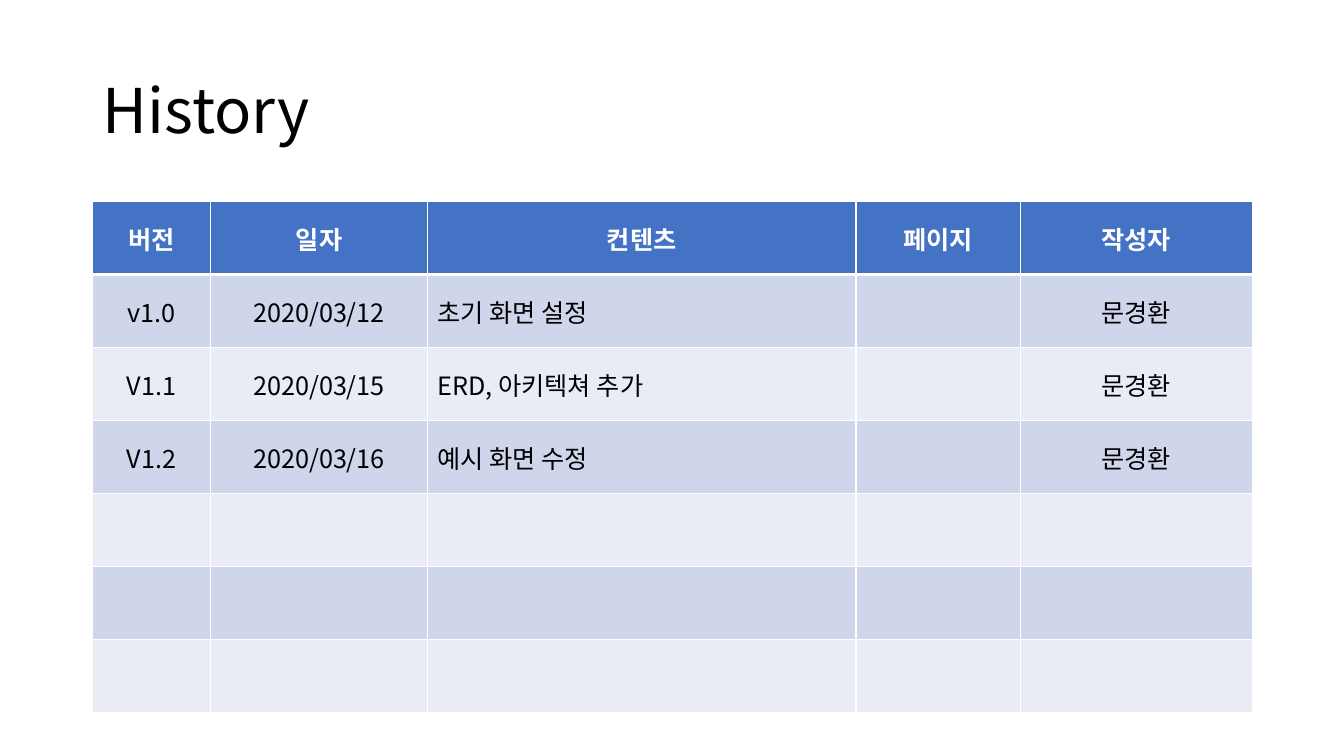
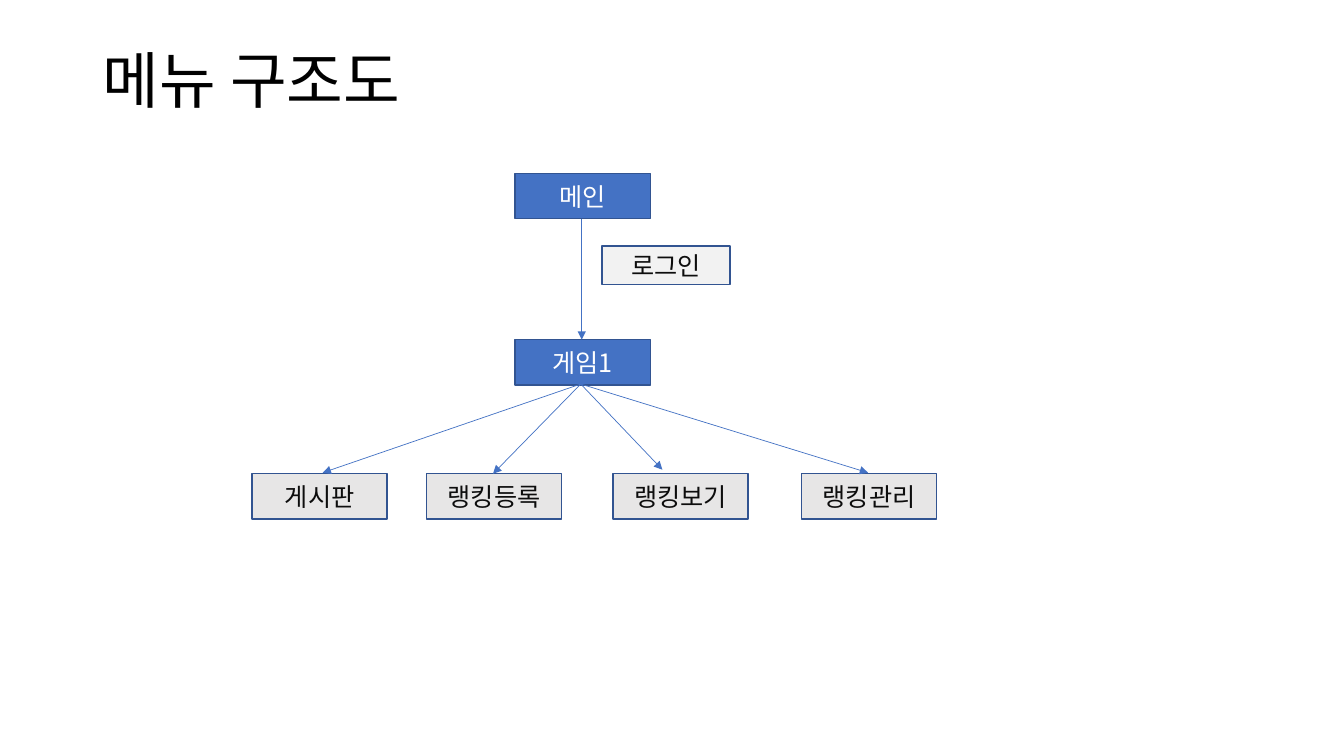
from pptx import Presentation
from pptx.dml.color import RGBColor
from pptx.enum.shapes import MSO_CONNECTOR, MSO_SHAPE
from pptx.enum.text import MSO_ANCHOR, PP_ALIGN
from pptx.oxml.ns import qn
from pptx.util import Inches, Pt
from lxml import etree

LEFT, CENTER = PP_ALIGN.LEFT, PP_ALIGN.CENTER
MIDDLE = MSO_ANCHOR.MIDDLE
RECTANGLE, STRAIGHT = MSO_SHAPE.RECTANGLE, MSO_CONNECTOR.STRAIGHT
TITLE_ONLY = 5
FONT = "Noto Sans CJK KR"
COLORS = {
    "blue": "4472C4", "outline": "325491", "white": "FFFFFF", "black": "000000",
    "band_dark": "CFD5EA", "band_light": "E9EBF5",
    "leaf": "E7E6E6", "note": "F2F2F2", "ink": "0D0D0D",
}


def rgb(name):
    return RGBColor.from_string(COLORS[name])


def style_paragraph(para, size, color, align=CENTER, bold=False):
    para.alignment = align
    font = para.font
    font.name, font.size, font.bold = FONT, Pt(size), bold
    font.color.rgb = rgb(color)
    # Korean glyphs take the East Asian typeface
    latin = font._element.find(qn("a:latin"))
    east_asian = etree.Element(qn("a:ea"), typeface=FONT)
    latin.addnext(east_asian)


def add_titled_page(deck, text, height):
    page = deck.slides.add_slide(deck.slide_layouts[TITLE_ONLY])
    title = page.shapes.title
    title.left, title.top = Inches(0.92), Inches(0.4)
    title.width, title.height = Inches(11.5), Inches(height)
    title.text_frame.text = text
    title.text_frame.vertical_anchor = MIDDLE
    para = title.text_frame.paragraphs[0]
    para.line_spacing = 0.9
    style_paragraph(para, 44, "black", LEFT)
    return page


# History table
def set_borders(cell, top, bottom):
    properties = cell._tc.get_or_add_tcPr()
    widths = {"lnL": 1, "lnR": 1, "lnT": top, "lnB": bottom}
    for index, (side, width) in enumerate(widths.items()):
        line = etree.Element(qn("a:" + side), w=str(Pt(width)))
        fill = etree.SubElement(line, qn("a:solidFill"))
        etree.SubElement(fill, qn("a:srgbClr"), val=COLORS["white"])
        properties.insert(index, line)


def add_history_table(page, left, top, height, widths, rows):
    frame = page.shapes.add_table(
        len(rows), len(widths), Inches(left), Inches(top),
        Inches(sum(widths)), Inches(height))
    table = frame.table
    for column, width in zip(table.columns, widths):
        column.width = Inches(width)
    for r, texts in enumerate(rows):
        header = r == 0
        band = "blue" if header else ("band_dark" if r % 2 else "band_light")
        for c, text in enumerate(texts):
            cell = table.cell(r, c)
            cell.text = text
            cell.vertical_anchor = MIDDLE
            cell.fill.solid()
            cell.fill.fore_color.rgb = rgb(band)
            set_borders(cell, 3 if r == 1 else 1, 3 if header else 1)
            align = LEFT if c == 2 and not header else CENTER
            style_paragraph(cell.text_frame.paragraphs[0], 18,
                            "white" if header else "black", align, header)


# Menu tree
def add_box(page, text, left, top, fill, color, width=1.34, height=0.45):
    box = page.shapes.add_shape(RECTANGLE, Inches(left), Inches(top),
                                Inches(width), Inches(height))
    box.shadow.inherit = False
    box.fill.solid()
    box.fill.fore_color.rgb = rgb(fill)
    box.line.color.rgb = rgb("outline")
    box.line.width = Pt(1)
    box.text_frame.text = text
    box.text_frame.vertical_anchor = MIDDLE
    style_paragraph(box.text_frame.paragraphs[0], 18, color)


def add_arrow(page, start, end):
    arrow = page.shapes.add_connector(
        STRAIGHT, *(Inches(length) for length in (*start, *end)))
    arrow.line.color.rgb = rgb("blue")
    arrow.line.width = Pt(0.5)
    etree.SubElement(arrow.line._get_or_add_ln(), qn("a:tailEnd"), type="triangle")
    etree.SubElement(arrow._element.spPr, qn("a:effectLst"))


def add_menu_tree(page, left, top, leaves):
    # left and top place the main box; the rest follows from it
    axis, game_top, leaf_top = left + 0.66, top + 1.65, top + 2.98
    add_box(page, "메인", left, top, "blue", "white")
    add_box(page, "게임1", left, game_top, "blue", "white")
    add_arrow(page, (axis, top + 0.45), (axis, game_top))
    for text, offset, tip, gap in leaves:
        add_box(page, text, left + offset, leaf_top, "leaf", "ink")
        add_arrow(page, (axis - 0.01, game_top + 0.44),
                  (left + tip, leaf_top - gap))
    add_box(page, "로그인", left + 0.86, top + 0.72, "note", "ink", 1.27, 0.38)


HISTORY = [
    ("버전", "일자", "컨텐츠", "페이지", "작성자"),
    ("v1.0", "2020/03/12", "초기 화면 설정", "", "문경환"),
    ("V1.1", "2020/03/15", "ERD, 아키텍쳐 추가", "", "문경환"),
    ("V1.2", "2020/03/16", "예시 화면 수정", "", "문경환"),
] + [("",) * 5] * 3
# Text, box offset, arrow tip offset, gap above the box
LEAVES = [
    ("게시판", -2.61, -1.91, 0.01),
    ("랭킹등록", -0.88, -0.22, 0),
    ("랭킹보기", 0.97, 1.46, 0.04),
    ("랭킹관리", 2.84, 3.5, 0.01),
]

deck = Presentation()
deck.slide_width, deck.slide_height = Inches(13.33), Inches(7.5)
history_page = add_titled_page(deck, "History", 1.45)
add_history_table(history_page, 0.92, 2, 5.07,
                  (1.17, 2.15, 4.25, 1.63, 2.3), HISTORY)
menu_page = add_titled_page(deck, "메뉴 구조도", 0.86)
add_menu_tree(menu_page, 5.11, 1.72, LEAVES)
deck.save("out.pptx")
